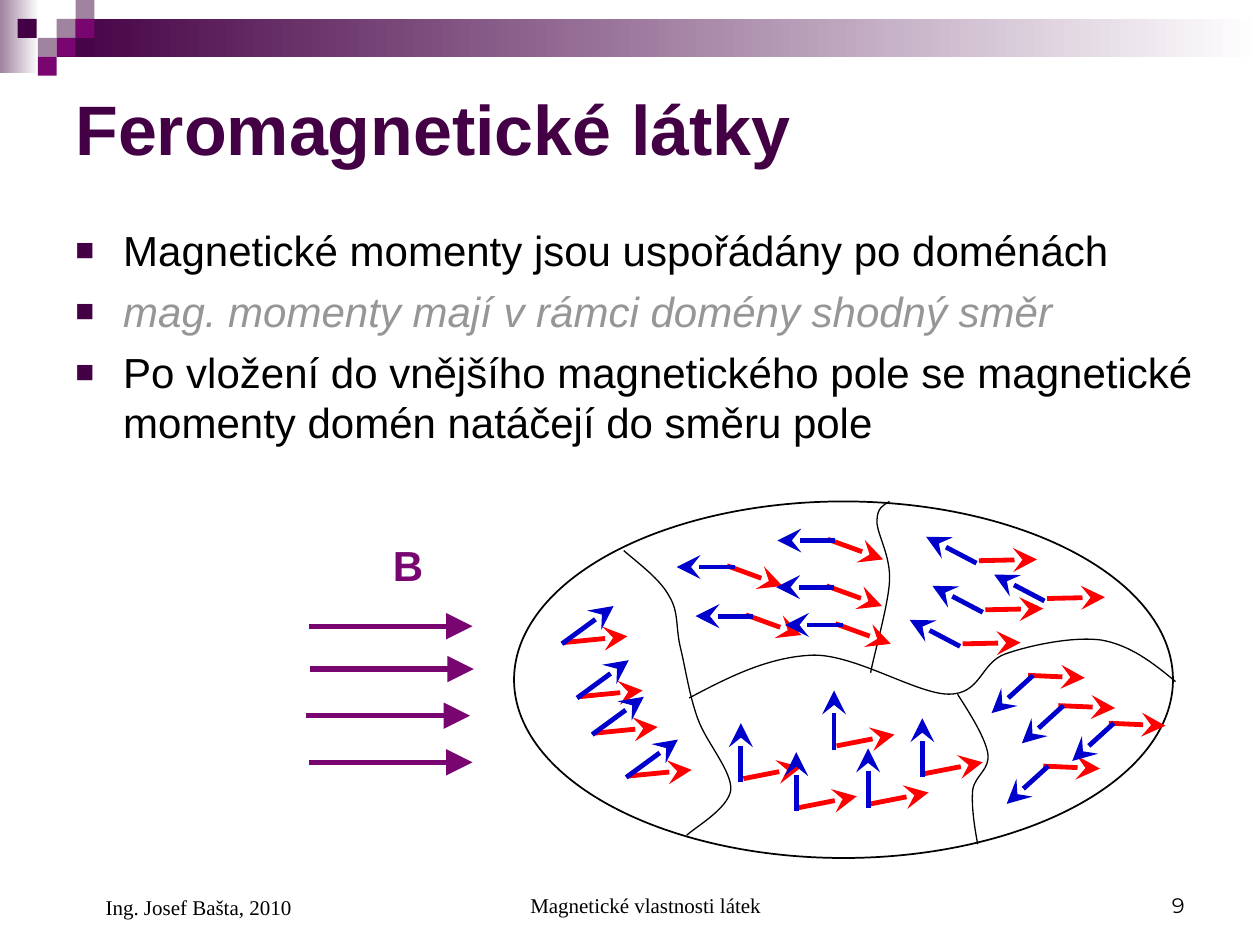
import pptx
import pptx.util
import pptx.dml.color
import pptx.enum.shapes
import pptx.enum.text
import pptx.oxml.ns
from lxml import etree
from pptx.util import Inches, Pt

COLORS = {
    "plum": "440044", "purple": "790571", "mauve": "9F839F",
    "gray": "969696", "black": "000000", "white": "FFFFFF",
    "red": "FF0000", "blue": "0000CC",
}
SHAPE = pptx.enum.shapes.MSO_SHAPE
ALIGN = pptx.enum.text.PP_ALIGN
ANCHOR = pptx.enum.text.MSO_ANCHOR
UNITS_PER_INCH = 100

BULLETS = [
    ("Magnetické momenty jsou uspořádány po doménách", {}),
    ("mag. momenty mají v rámci domény shodný směr", {"color": "gray", "italic": True}),
    ("Po vložení do vnějšího magnetického pole se magnetické "
     "momenty domén natáčejí do směru pole", {}),
]

# Start point followed by the control points of each cubic segment
DOMAIN_WALLS = [
    [(4.95, 4.37), (5.09, 4.49), (5.24, 4.6), (5.31, 4.73), (5.39, 4.86), (5.36, 4.97),
     (5.4, 5.14), (5.44, 5.3), (5.47, 5.52), (5.54, 5.71), (5.61, 5.9), (5.81, 6.12),
     (5.8, 6.27), (5.78, 6.42), (5.51, 6.57), (5.45, 6.63)],
    [(5.47, 5.54), (5.79, 5.37), (6.11, 5.21), (6.46, 5.2), (6.8, 5.2), (7.28, 5.51),
     (7.53, 5.51), (7.79, 5.51), (7.78, 5.26), (7.98, 5.19), (8.18, 5.12), (8.52, 5.05),
     (8.74, 5.08), (8.97, 5.12), (9.15, 5.26), (9.33, 5.41)],
    [(7.06, 3.98), (7.01, 4.01), (6.96, 4.03), (6.96, 4.14), (6.96, 4.24), (7.07, 4.41),
     (7.06, 4.61), (7.05, 4.81), (6.93, 5.22), (6.91, 5.34)],
    [(7.6, 5.51), (7.71, 5.68), (7.82, 5.86), (7.84, 5.98), (7.86, 6.11), (7.74, 6.15),
     (7.72, 6.27), (7.71, 6.39), (7.73, 6.54), (7.76, 6.7)],
]

# Per domain: red vector, offset of the blue start, blue vector, red starts
DOMAINS = [
    ((0.51, -0.05), (-0.01, 0.01), (0.41, -0.3),
     [(4.47, 5.1), (4.59, 5.53), (4.71, 5.82), (4.98, 6.16)]),
    ((0.45, 0.02), (0.04, 0), (-0.33, 0.3),
     [(8.16, 5.36), (8.4, 5.6), (8.28, 6.08), (8.8, 5.74)]),
    ((0.46, -0.09), (-0.02, 0.03), (0, -0.47),
     [(5.9, 6.18), (6.34, 6.41), (6.64, 5.92), (6.91, 6.38), (7.34, 6.14)]),
    ((0.44, 0.16), (0.06, 0.01), (-0.46, 0),
     [(5.77, 4.49), (5.92, 4.88), (6.57, 4.28), (6.56, 4.65), (6.63, 4.95)]),
    ((0.46, -0.01), (-0.02, 0.02), (-0.4, -0.21),
     [(7.77, 4.45), (7.82, 4.84), (7.64, 5.11), (8.31, 4.75)]),
]


def rgb(name):
    return pptx.dml.color.RGBColor.from_string(COLORS[name])


def add_element(parent, tag, **attributes):
    return etree.SubElement(parent, pptx.oxml.ns.qn(tag), attributes)


def add_text_frame(slide, left, top, width, height, anchor=ANCHOR.TOP):
    box = slide.shapes.add_textbox(Inches(left), Inches(top), Inches(width), Inches(height))
    frame = box.text_frame
    frame.word_wrap = True
    frame.vertical_anchor = anchor
    return frame


def write(paragraph, text, *, size, color="black", font="Arial", bold=False,
          italic=False, align=ALIGN.LEFT, indent=0):
    paragraph.alignment = align
    if indent:
        paragraph._p.get_or_add_pPr().set("marL", str(Inches(indent)))
    run = paragraph.add_run()
    run.text = text
    run.font.size = Pt(size)
    run.font.name = font
    run.font.bold = bold
    run.font.italic = italic
    run.font.color.rgb = rgb(color)


def add_bullet(paragraph):
    properties = paragraph._p.get_or_add_pPr()
    properties.set("marL", str(Inches(0.38)))
    properties.set("indent", str(-Inches(0.38)))
    bullet_color = add_element(properties, "a:buClr")
    add_element(bullet_color, "a:srgbClr", val=COLORS["plum"])
    add_element(properties, "a:buSzPct", val="75000")
    add_element(properties, "a:buFont", typeface="Arial")
    add_element(properties, "a:buChar", char="■")


def add_bullets(slide):
    frame = add_text_frame(slide, 0.5, 1.73, 9.23, 2.02)
    for index, (text, style) in enumerate(BULLETS):
        paragraph = frame.add_paragraph() if index else frame.paragraphs[0]
        if index:
            paragraph.space_before = Pt(6)
        add_bullet(paragraph)
        write(paragraph, text, size=24, **style)


def add_block(slide, left, top, width, height, color, fade=False):
    """Add a borderless rectangle, optionally fading to white on the right."""
    block = slide.shapes.add_shape(
        SHAPE.RECTANGLE, Inches(left), Inches(top), Inches(width), Inches(height))
    block.shadow.inherit = False
    block.line.fill.background()
    if fade:
        block.fill.gradient()
        block.fill.gradient_angle = 0
        for stop, name in zip(block.fill.gradient_stops, (color, "white")):
            stop.color.rgb = rgb(name)
    else:
        block.fill.solid()
        block.fill.fore_color.rgb = rgb(color)


def add_header(slide):
    add_block(slide, 0, 0, 0.31, 0.58, "mauve", fade=True)
    add_block(slide, 0.45, 0.15, 9.55, 0.3, "plum", fade=True)
    for left, top, color in [
            (0.45, 0.15, "mauve"), (0.6, 0, "mauve"), (0.6, 0.15, "purple"),
            (0.3, 0.3, "mauve"), (0.14, 0.15, "plum"), (0.45, 0.3, "purple"),
            (0.3, 0.45, "purple")]:
        add_block(slide, left, top, 0.15, 0.15, color)


def add_arrow(slide, start, vector, color, width, head):
    (x, y), (dx, dy) = start, vector
    arrow = slide.shapes.add_connector(
        pptx.enum.shapes.MSO_CONNECTOR.STRAIGHT,
        Inches(x), Inches(y), Inches(x + dx), Inches(y + dy))
    arrow.line.color.rgb = rgb(color)
    arrow.line.width = Pt(width)
    add_element(arrow.line._get_or_add_ln(), "a:tailEnd", type=head, w="lg", len="lg")
    add_element(arrow._element.spPr, "a:effectLst")


def outline(shape, width):
    shape.shadow.inherit = False
    shape.fill.background()
    shape.line.color.rgb = rgb("black")
    shape.line.width = Pt(width)


def add_wall(slide, wall):
    """Build a freeform through the segment ends, then bend its lines into cubics."""
    points = [(round(x * UNITS_PER_INCH), round(y * UNITS_PER_INCH)) for x, y in wall]
    ends = points[::3]
    left, top = (min(values) for values in zip(*ends))
    builder = slide.shapes.build_freeform(*ends[0], scale=Inches(1) / UNITS_PER_INCH)
    builder.add_line_segments(ends[1:], close=False)
    shape = builder.convert_to_shape()
    lines = list(shape._element.iter(pptx.oxml.ns.qn("a:lnTo")))
    for index, line in enumerate(lines):
        curve = etree.Element(pptx.oxml.ns.qn("a:cubicBezTo"))
        for x, y in points[3 * index + 1:3 * index + 4]:
            add_element(curve, "a:pt", x=str(x - left), y=str(y - top))
        line.getparent().replace(line, curve)
    outline(shape, 0.75)


def add_body(slide):
    """Draw the ferromagnetic body, its domains and their moments."""
    body = slide.shapes.add_shape(
        SHAPE.OVAL, Inches(4.08), Inches(3.98), Inches(5.23), Inches(2.83))
    outline(body, 1)
    for wall in DOMAIN_WALLS:
        add_wall(slide, wall)
    for red_vector, _, _, starts in DOMAINS:
        for start in starts:
            add_arrow(slide, start, red_vector, "red", 2.75, "stealth")
    for _, (dx, dy), blue_vector, starts in DOMAINS:
        for x, y in starts:
            add_arrow(slide, (x + dx, y + dy), blue_vector, "blue", 2.75, "stealth")


def add_field(slide):
    for start in [(2.45, 4.97), (2.46, 5.31), (2.43, 5.68), (2.45, 6.05)]:
        add_arrow(slide, start, (1.3, 0), "purple", 3, "triangle")
    label = add_text_frame(slide, 3.02, 4.23, 0.6, 0.5)
    write(label.paragraphs[0], "B", size=24, color="purple", bold=True)


def add_footer(slide):
    serif = "Times New Roman"
    for left, width, height, text, style in [
            (3.42, 3.17, 0.5, "Magnetické vlastnosti látek",
             {"font": serif, "align": ALIGN.CENTER, "indent": 0.24}),
            (7.17, 2.33, 0.5, "9", {"font": "Montserrat", "align": ALIGN.RIGHT}),
            (0.5, 2.33, 0.52, "Ing. Josef Bašta, 2010", {"font": serif, "indent": 0.24})]:
        frame = add_text_frame(slide, left, 6.83, width, height, ANCHOR.BOTTOM)
        write(frame.paragraphs[0], text, size=12, **style)


def main():
    presentation = pptx.Presentation()
    presentation.slide_width = Inches(10)
    presentation.slide_height = Inches(7.5)
    slide = presentation.slides.add_slide(presentation.slide_layouts[6])
    add_header(slide)
    title = add_text_frame(slide, 0.5, 0.5, 9, 1.03, ANCHOR.MIDDLE)
    write(title.paragraphs[0], "Feromagnetické látky", size=40, color="plum", bold=True)
    add_bullets(slide)
    add_field(slide)
    add_body(slide)
    add_footer(slide)
    presentation.save("out.pptx")


if __name__ == "__main__":
    main()
